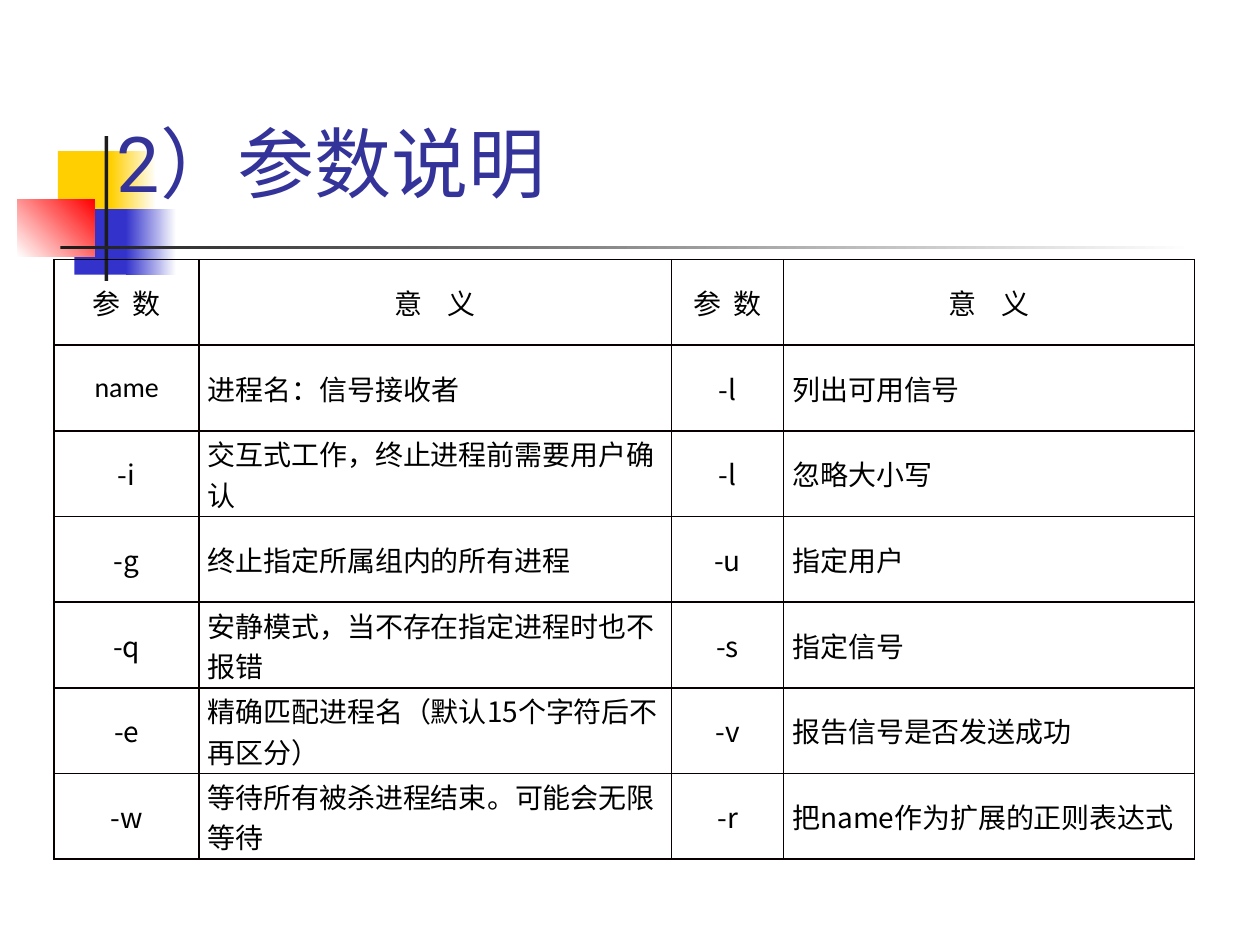
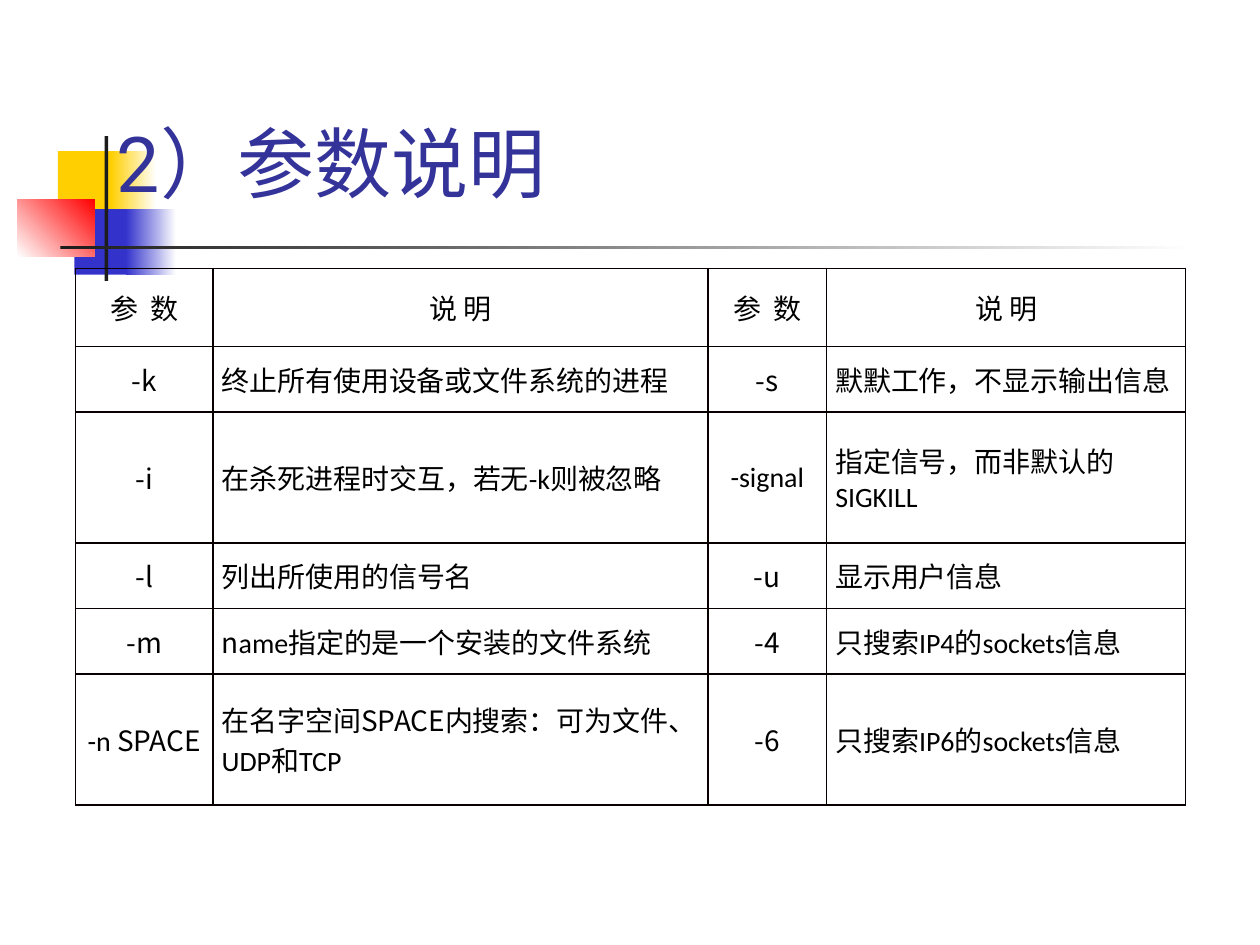
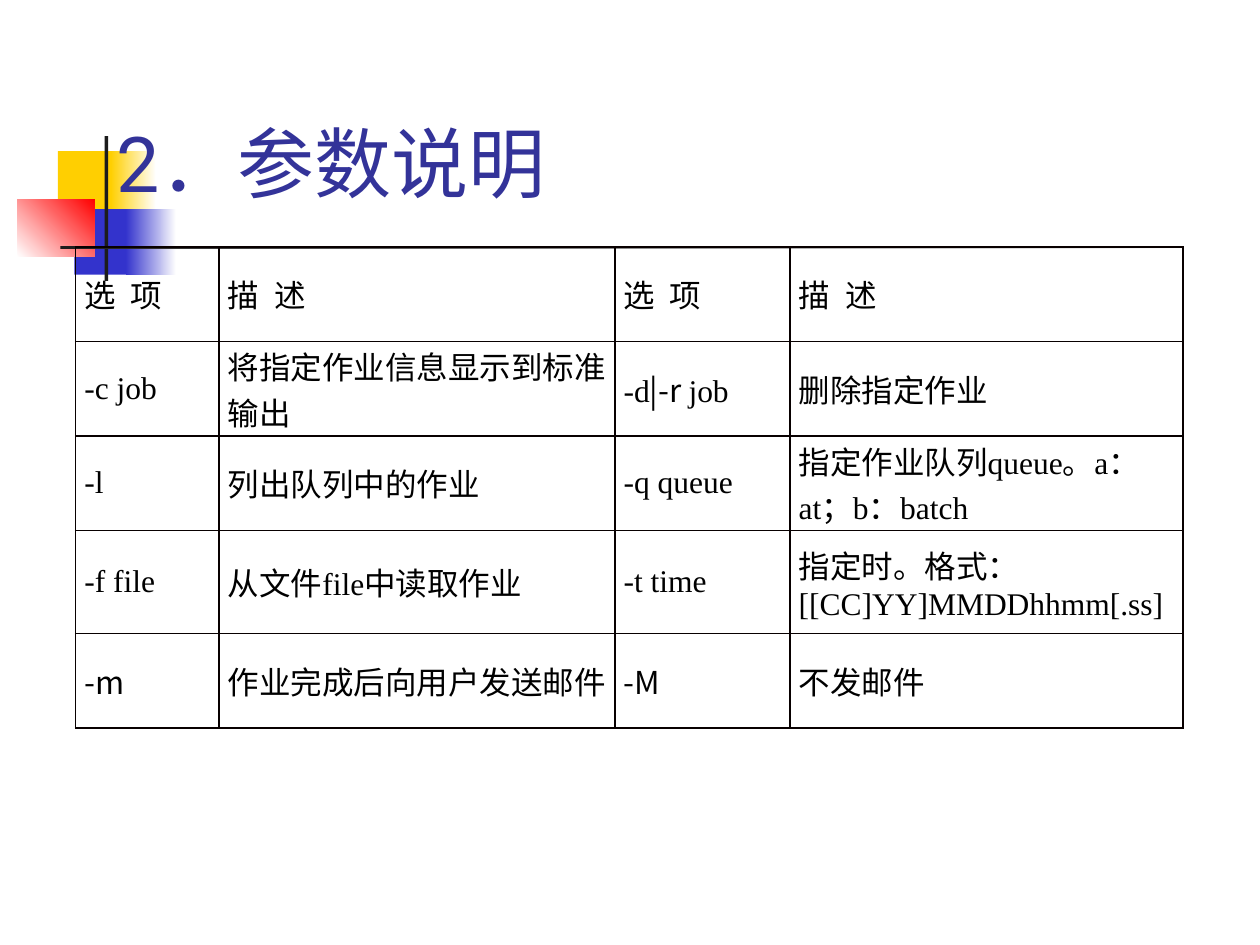
from lxml import etree
from pptx import Presentation
from pptx.dml.color import RGBColor
from pptx.enum.lang import MSO_LANGUAGE_ID
from pptx.enum.shapes import MSO_SHAPE
from pptx.enum.text import MSO_ANCHOR, PP_ALIGN
from pptx.oxml.ns import qn
from pptx.util import Inches, Pt

RECT = MSO_SHAPE.RECTANGLE
CENTER, LEFT = PP_ALIGN.CENTER, PP_ALIGN.LEFT
MIDDLE, BOTTOM = MSO_ANCHOR.MIDDLE, MSO_ANCHOR.BOTTOM
CHINESE = MSO_LANGUAGE_ID.SIMPLIFIED_CHINESE

COLORS = {"yellow": "FFCF01", "blue": "3333CC", "red": "FF0000", "ink": "1C1C1C",
          "white": "FFFFFF", "title": "333399", "text": "000000", "border": "080000"}
CJK = "Noto Sans CJK SC"

# Shared decoration: left, top, width, height, colours (two make a gradient), angle
DECOR = [
    (0.46, 1.2, 0.48, 0.52, ["yellow"], 0),
    (0.88, 1.2, 0.36, 0.52, ["yellow", "white"], 0),
    (0.59, 1.66, 0.46, 0.52, ["blue"], 0),
    (1, 1.66, 0.4, 0.52, ["blue", "white"], 0),
    (0.14, 1.58, 0.61, 0.46, ["white", "red"], 45),
    (0.83, 1.08, 0.03, 1.15, ["ink"], 0),
    (0.48, 1.95, 9, 0.03, ["ink", "white"], 0),
    (6.42, 6.66, 3.23, 0.84, ["white"], 0),
]

# Text between asterisks is set in the CJK font, the rest in the table's font.
# "gaps" holds the letter spacing of each header cell, in points.
SLIDES = [
    {"title": "2）参数说明", "at": (0.43, 2.06), "font": "Calibri", "size": 16,
     "centered": True, "gaps": [1.8, 5.4, 1.8, 5.4],
     "cols": [1.15, 3.75, 0.89, 3.26], "rows": [0.68] * 7,
     "cells": [
         ["参 数", "意 义", "参 数", "意 义"],
         ["name", "进程名*：*信号接收者", "*-l*", "列*出*可用信号"],
         ["*-i*", "交互式工作，终止进程前需要用户确认", "*-l*", "*忽略大小写*"],
         ["*-g*", "终止指定所属组内的所有进程", "*-u*", "*指定用户*"],
         ["*-q*", "安静模式，当不存在指定进程时也不报错", "*-s*", "指定信号"],
         ["*-e*", "*精确匹配进程名（默认15个字符后不再区分）*", "*-v*", "报告信号是否发送成功"],
         ["*-w*", "等待所有被杀进程结束*。可能*会无限等待", "*-r*", "*把name作为扩展的正则表达式*"],
     ]},
    {"title": "2）参数说明", "at": (0.6, 2.13), "font": "Calibri", "size": 16,
     "centered": True, "gaps": [1.8, 0, 1.8, 0],
     "cols": [1.09, 3.93, 0.94, 2.85], "rows": [0.62, 0.52, 1.04, 0.52, 0.52, 1.04],
     "cells": [
         ["参 数", "说 明", "参 数", "说 明"],
         ["*-k*", "终止所有使用设备或文件系统的进程", "*-s*", "默默工作，不显示输出信息"],
         ["*-i*", "在杀死进程*时交互*，若无-k则*被*忽略", "-signal", "指定信号，而非默认的SIGKILL"],
         ["*-l*", "列*出*所使用的信号名", "*-u*", "显示用户信息"],
         ["*-m*", "*n*ame指定的是一个安装的文件系统", "*-4*", "只搜索IP4的sockets信息"],
         ["-n *SPACE*", "在名字空间*SPACE*内搜索*：*可*为*文件、UDP和TCP", "*-6*",
          "只搜索IP6的sockets信息"],
     ]},
    {"title": "2．参数说明", "at": (0.6, 1.96), "font": "Times New Roman", "size": 18,
     "centered": False, "gaps": [2.25] * 4,
     "cols": [1.14, 3.14, 1.39, 3.12], "rows": [0.75, 0.75, 0.75, 0.82, 0.75],
     "cells": [
         ["选 项", "描 述", "选 项", "描 述"],
         ["-c job", "将指定作业信息显示到标准输出", "-d*|-r *job", "删除指定作业"],
         ["-l", "列出队列中的作业", "-q queue", "指定作业队列queue。a*：*at*；*b*：*batch"],
         ["-f file", "从文件file中读取作业", "-t time", "*指定时。格式：*[[CC]YY]MMDDhhmm[.ss]"],
         ["*-m*", "*作业完成后向用户发送邮件*", "*-M*", "*不发邮件*"],
     ]},
]


def rgb(name):
    return RGBColor.from_string(COLORS[name])


def add_run(p, text, font, size, color, gap=0):
    r = p.add_run()
    r.text = text
    r.font.name, r.font.size = font, Pt(size)
    r.font.color.rgb = rgb(color)
    r.font.language_id = CHINESE
    rPr = r.font._element
    etree.SubElement(rPr, qn("a:ea")).set("typeface", CJK)
    if gap:
        rPr.set("spc", str(round(gap * 100)))


def add_decor(s):
    for *box, colors, angle in DECOR:
        sp = s.shapes.add_shape(RECT, *map(Inches, box))
        sp.shadow.inherit = False
        sp.line.fill.background()
        if len(colors) == 1:
            sp.fill.solid()
            sp.fill.fore_color.rgb = rgb(colors[0])
            continue
        sp.fill.gradient()
        sp.fill.gradient_angle = angle
        for position, (stop, color) in enumerate(zip(sp.fill.gradient_stops, colors)):
            stop.position = position
            stop.color.rgb = rgb(color)


def add_title(s, text):
    sp = s.shapes.add_textbox(*map(Inches, (0.83, 0.44, 8.92, 1.26)))
    tf = sp.text_frame
    tf.word_wrap = True
    tf.vertical_anchor = BOTTOM
    add_run(tf.paragraphs[0], text, "Roboto", 44, "title")


def add_borders(cell):
    tcPr = cell._tc.get_or_add_tcPr()
    for i, side in enumerate(("lnL", "lnR", "lnT", "lnB")):
        ln = etree.Element(qn("a:" + side), w=str(Pt(1)))
        fill = etree.SubElement(ln, qn("a:solidFill"))
        etree.SubElement(fill, qn("a:srgbClr")).set("val", COLORS["border"])
        tcPr.insert(i, ln)


def fill_cell(cell, text, spec_table, align, gap):
    cell.fill.background()
    add_borders(cell)
    cell.vertical_anchor = MIDDLE
    cell.margin_left = cell.margin_right = Inches(0.07)
    cell.margin_top = cell.margin_bottom = 0
    p = cell.text_frame.paragraphs[0]
    p.alignment = align
    for i, part in enumerate(text.split("*")):
        if part:
            font = CJK if i % 2 else spec_table["font"]
            add_run(p, part, font, spec_table["size"], "text", gap)


def add_options_table(s, data):
    cols, rows = data["cols"], data["rows"]
    box = (*data["at"], sum(cols), sum(rows))
    table = s.shapes.add_table(len(rows), len(cols), *map(Inches, box)).table
    table.first_row = table.horz_banding = False
    for column, width in zip(table.columns, cols):
        column.width = Inches(width)
    for i, height in enumerate(rows):
        table.rows[i].height = Inches(height)
        for j, text in enumerate(data["cells"][i]):
            # Headers and option names are centred, descriptions are not
            centered = data["centered"] and (i == 0 or j % 2 == 0)
            gap = data["gaps"][j] if i == 0 else 0
            fill_cell(table.cell(i, j), text, data, CENTER if centered else LEFT, gap)


def main():
    prs = Presentation()
    prs.slide_width, prs.slide_height = Inches(10), Inches(7.5)
    for data in SLIDES:
        s = prs.slides.add_slide(prs.slide_layouts[6])
        add_decor(s)
        add_title(s, data["title"])
        add_options_table(s, data)
    prs.save("out.pptx")


if __name__ == "__main__":
    main()
